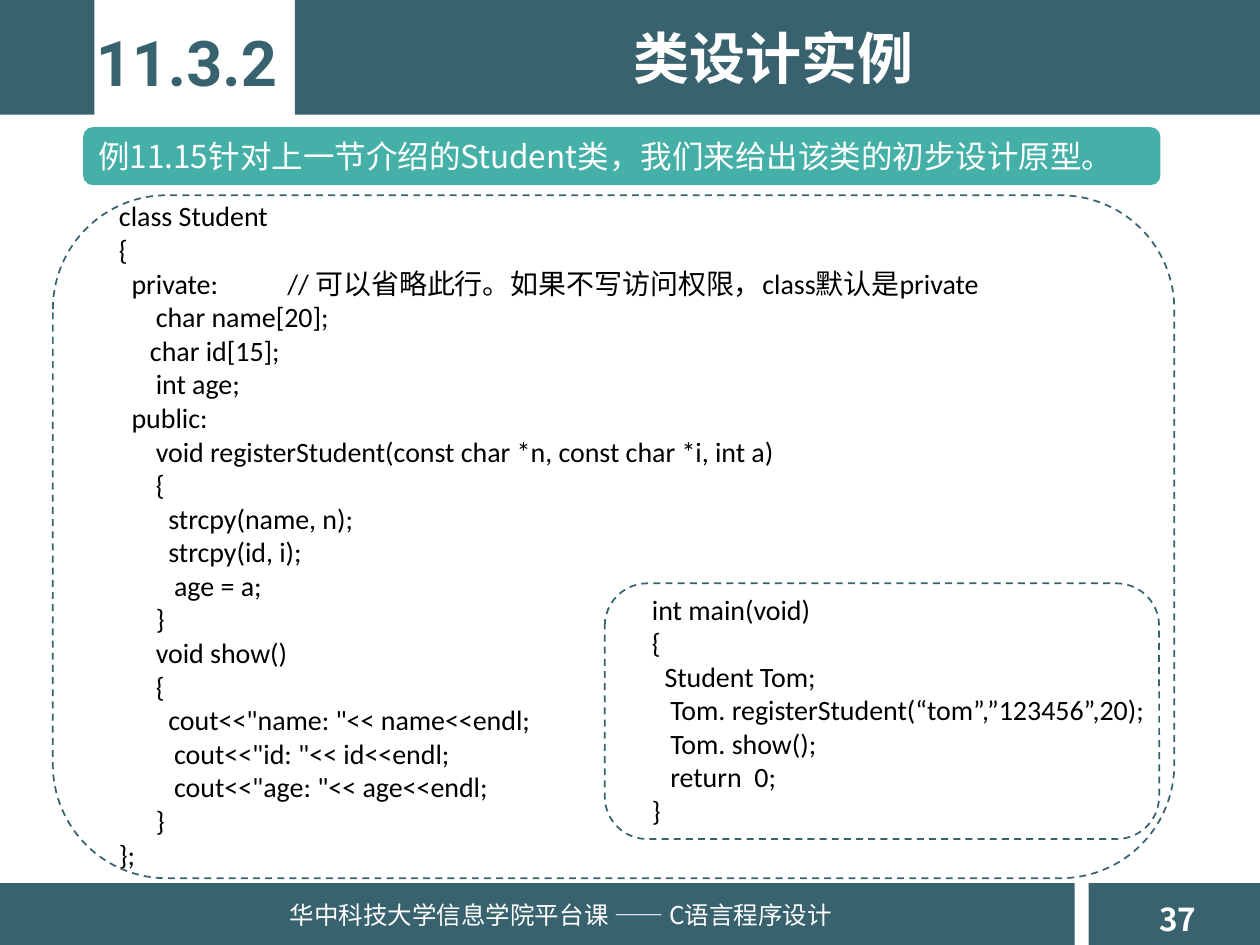
from lxml import etree
from pptx import Presentation
from pptx import util as u
from pptx.dml.color import RGBColor
from pptx.enum import dml, shapes, text
from pptx.oxml.ns import qn

COLORS = {"slate": "39626F", "teal": "45B0A8", "white": "FFFFFF", "black": "000000"}
CJK = "Noto Sans CJK SC"
COLUMNS, ROWS = 100, 75
INDENT_STEP = 0.146

# Each code line: indent level, text
CLASS_CODE = [
    (1, "class Student"),
    (1, "{"),
    (1, "  private:           // 可以省略此行。如果不写访问权限，class默认是private"),
    (3, "char name[20];"),
    (2, "  char id[15];"),
    (3, "int age;"),
    (1, "  public:"),
    (3, "void registerStudent(const char *n, const char *i, int a)"),
    (3, "{"),
    (3, "  strcpy(name, n);"),
    (3, "  strcpy(id, i);"),
    (4, "age = a;"),
    (3, "}"),
    (3, "void show()"),
    (3, "{"),
    (3, '  cout<<"name: "<< name<<endl;'),
    (4, 'cout<<"id: "<< id<<endl;'),
    (4, 'cout<<"age: "<< age<<endl;'),
    (3, "}"),
    (1, "};"),
]
MAIN_CODE = [
    (1, "int main(void)"),
    (1, "{"),
    (1, "  Student Tom;"),
    (2, "Tom. registerStudent(“tom”,”123456”,20);"),
    (2, "Tom. show();"),
    (2, "return  0;"),
    (1, "}"),
]


class SlideBuilder:
    def __init__(self, deck):
        self.slide = deck.slides.add_slide(deck.slide_layouts[6])
        self.column = deck.slide_width / COLUMNS
        self.row = deck.slide_height / ROWS

    def area(self, left, top, width, height):
        """Turn grid columns and rows into slide lengths."""
        return [u.Emu(round(value)) for value in (
            left * self.column, top * self.row, width * self.column, height * self.row)]

    def shape(self, kind, *place, fill=None):
        shape = self.slide.shapes.add_shape(kind, *self.area(*place))
        shape.shadow.inherit = False
        if fill:
            shape.fill.solid()
            shape.fill.fore_color.rgb = RGBColor.from_string(COLORS[fill])
            shape.line.fill.background()
        else:
            shape.fill.background()
        return shape

    def bar(self, *place):
        return self.shape(shapes.MSO_SHAPE.RECTANGLE, *place, fill="slate")

    def dashed_frame(self, *place):
        frame = self.shape(shapes.MSO_SHAPE.ROUNDED_RECTANGLE, *place)
        frame.line.color.rgb = RGBColor.from_string(COLORS["slate"])
        frame.line.width = u.Pt(1)
        frame.line.dash_style = dml.MSO_LINE.DASH

    def span(self, para, words, size, font=CJK, color="white", bold=False):
        span = para.add_run()
        span.text = words
        span.font.size = u.Pt(size)
        span.font.name = font
        span.font.bold = bold
        span.font.color.rgb = RGBColor.from_string(COLORS[color])
        east_asian = etree.Element(qn("a:ea"), typeface=CJK)
        span.font._element.find(qn("a:latin")).addnext(east_asian)

    def label(self, words, size, *place, align=text.PP_ALIGN.LEFT, wrap=False, **look):
        box = self.slide.shapes.add_textbox(*self.area(*place))
        box.text_frame.word_wrap = wrap
        para = box.text_frame.paragraphs[0]
        para.alignment = align
        self.span(para, words, size, **look)

    def banner(self, words, size, *place):
        banner = self.shape(shapes.MSO_SHAPE.ROUNDED_RECTANGLE, *place, fill="teal")
        banner.text_frame.vertical_anchor = text.MSO_ANCHOR.MIDDLE
        para = banner.text_frame.paragraphs[0]
        para.alignment = text.PP_ALIGN.LEFT
        self.span(para, words, size)

    def code(self, lines, *place):
        box = self.slide.shapes.add_textbox(*self.area(*place))
        box.text_frame.word_wrap = True
        for number, (level, words) in enumerate(lines):
            para = box.text_frame.add_paragraph() if number else box.text_frame.paragraphs[0]
            para.alignment = text.PP_ALIGN.JUSTIFY
            para._p.get_or_add_pPr().set("indent", str(u.Inches(level * INDENT_STEP)))
            self.span(para, words, 16, font="Calibri", color="black")


def main():
    deck = Presentation()
    deck.slide_width, deck.slide_height = u.Inches(10), u.Inches(7.5)
    page = SlideBuilder(deck)
    center = text.PP_ALIGN.CENTER

    for left, width in ((0, 7.5), (23.4, 76.6)):
        page.bar(left, 0, width, 9.1)
    for left, width in ((0, 85.3), (86.4, 13.6)):
        page.bar(left, 70.1, width, 4.9)

    page.label("37", 18, 91, 70.9, 5.5, 4, bold=True)
    page.label("华中科技大学信息学院平台课 —— C语言程序设计", 14, 22, 70.9, 46, 4)
    page.label("11.3.2", 36, 6.6, 1.4, 16.4, 7.1, align=center,
               font="Roboto", color="slate", bold=True)
    page.label("类设计实例", 32, 28.9, 1.4, 65, 6.4, align=center, wrap=True, bold=True)
    page.banner("例11.15针对上一节介绍的Student类，我们来给出该类的初步设计原型。",
                18, 6.6, 10.1, 85.5, 4.6)

    page.code(CLASS_CODE, 7, 15.3, 90.6, 54.9)
    page.code(MAIN_CODE, 49.3, 46.5, 50, 20.2)
    page.dashed_frame(4.2, 15.5, 89, 54.2)
    page.dashed_frame(48, 46.3, 44, 20.3)

    deck.save("out.pptx")


if __name__ == "__main__":
    main()
